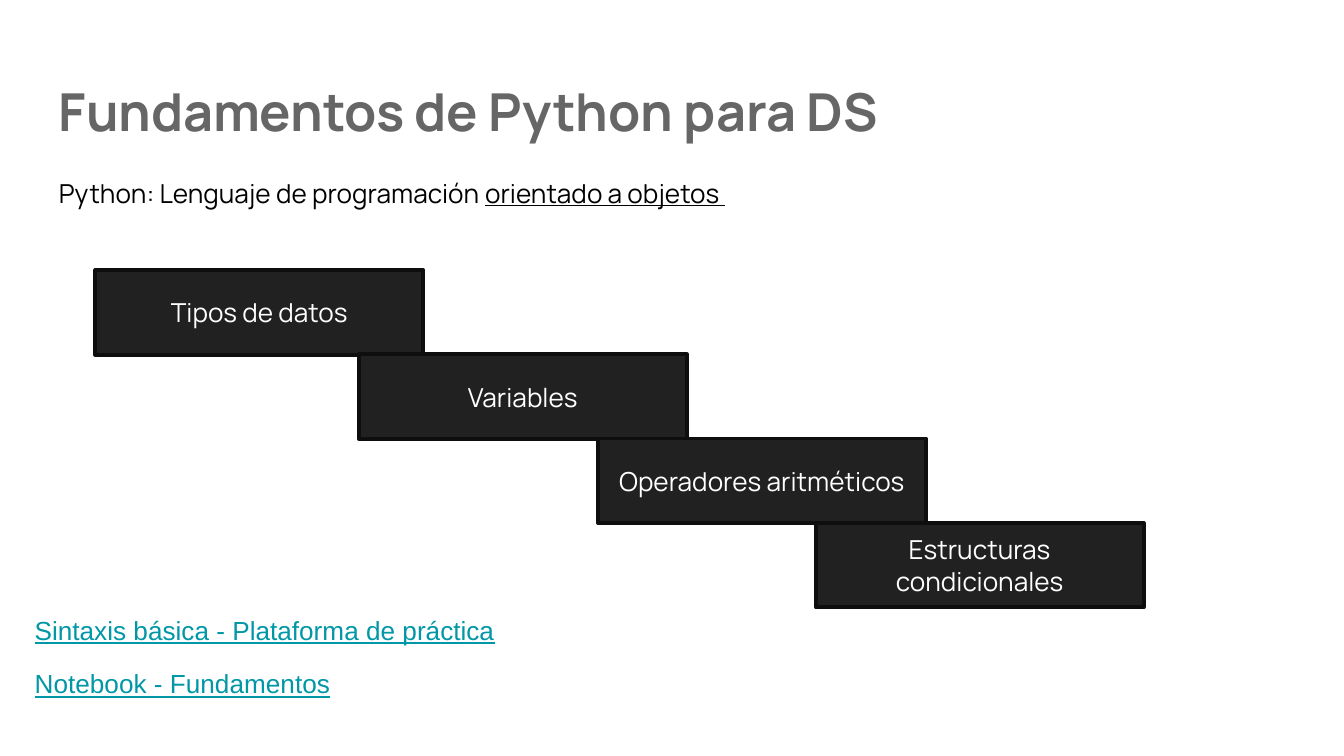
import pptx
import pptx.dml.color
import pptx.enum.shapes
import pptx.enum.text
import pptx.oxml.ns
import pptx.util
from lxml import etree
from pptx.util import Inches, Pt

COLOURS = {
    "background": "FFFFFF",
    "title": "666666",
    "body": "000000",
    "link": "0097A7",
    "step": "212121",
    "step_line": "0E0E0E",
    "step_text": "FFFFFF",
}
BODY = {"name": "Manrope", "size": Pt(14)}
TITLE = {"name": "Manrope", "size": Pt(28), "bold": True}
LINK = {"name": "Arial", "size": Pt(14), "underline": True}
STEPS = [
    ("Tipos de datos", 0),
    ("Variables", 1.96),
    ("Operadores aritméticos", 3.74),
    ("Estructuras condicionales", 5.36),
]
STEP_WIDTH, STEP_HEIGHT = 2.44, 0.63
LINKS = ["Sintaxis básica - Plataforma de práctica", "Notebook - Fundamentos"]


def rgb(colour):
    return pptx.dml.color.RGBColor.from_string(COLOURS[colour])


def add_span(para, text, colour, font):
    span = para.add_run()
    span.text = text
    span.font.color.rgb = rgb(colour)
    for name, value in font.items():
        setattr(span.font, name, value)


def add_line_of_text(page, box, spans, colour, inset_top=0.05):
    """Place one text box holding (text, font) spans in a single paragraph."""
    frame = page.shapes.add_textbox(*map(Inches, box)).text_frame
    frame.word_wrap = True
    frame.margin_top = Inches(inset_top)
    for text, font in spans:
        add_span(frame.paragraphs[0], text, colour, font)


def add_heading(page, left, top, width):
    add_line_of_text(page, (left, top, width, 0.63),
                     [("Fundamentos de Python para DS", TITLE)], "title", 0.1)
    spans = [("Python: Lenguaje de programación ", BODY),
             ("orientado a objetos ", {**BODY, "underline": True})]
    add_line_of_text(page, (left, top + 0.78, 7.1, 0.34), spans, "body")


def add_staircase(page, left, top, height):
    """Place the topics as steps that descend evenly through the height."""
    drop = (height - STEP_HEIGHT) / (len(STEPS) - 1)
    for index, (topic, offset) in enumerate(STEPS):
        step = page.shapes.add_shape(
            pptx.enum.shapes.MSO_SHAPE.RECTANGLE,
            Inches(left + offset), Inches(top + index * drop),
            Inches(STEP_WIDTH), Inches(STEP_HEIGHT))
        step.shadow.inherit = False
        step.fill.solid()
        step.fill.fore_color.rgb = rgb("step")
        step.line.color.rgb = rgb("step_line")
        step.line.width = Pt(2)
        outline = step.element.spPr.find(pptx.oxml.ns.qn("a:ln"))
        etree.SubElement(outline, pptx.oxml.ns.qn("a:round"))

        frame = step.text_frame
        frame.word_wrap = True
        frame.vertical_anchor = pptx.enum.text.MSO_ANCHOR.MIDDLE
        para = frame.paragraphs[0]
        para.alignment = pptx.enum.text.PP_ALIGN.CENTER
        add_span(para, topic, "step_text", BODY)


def add_links(page, left, top, width):
    for index, text in enumerate(LINKS):
        add_line_of_text(page, (left, top + index * 0.4, width, 0.34),
                         [(text, LINK)], "link")


def main():
    deck = pptx.Presentation()
    deck.slide_width = Inches(10)
    deck.slide_height = deck.slide_width * 9 // 16
    page = deck.slides.add_slide(deck.slide_layouts[6])
    page.background.fill.solid()
    page.background.fill.fore_color.rgb = rgb("background")

    add_heading(page, left=0.34, top=0.49, width=9.32)
    add_staircase(page, left=0.71, top=2.01, height=2.51)
    add_links(page, left=0.16, top=4.52, width=5)
    deck.save("out.pptx")


if __name__ == "__main__":
    main()
